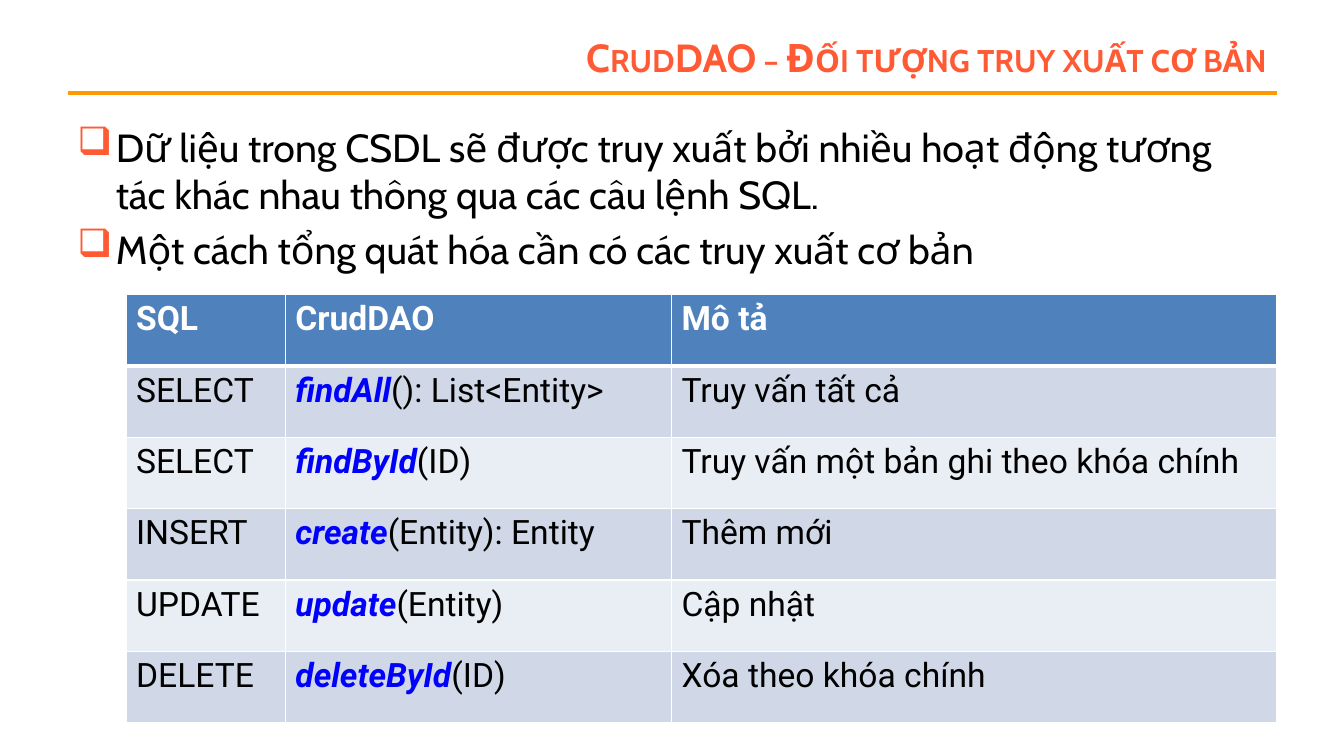
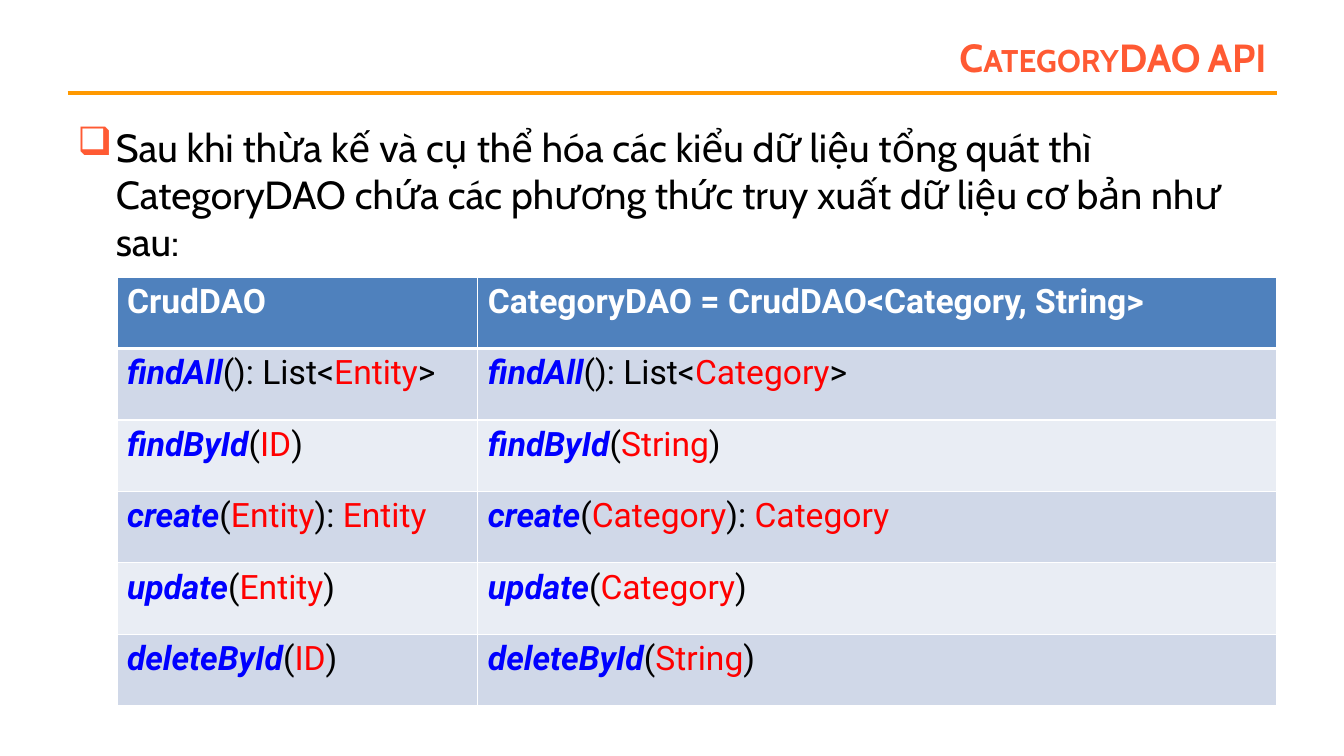
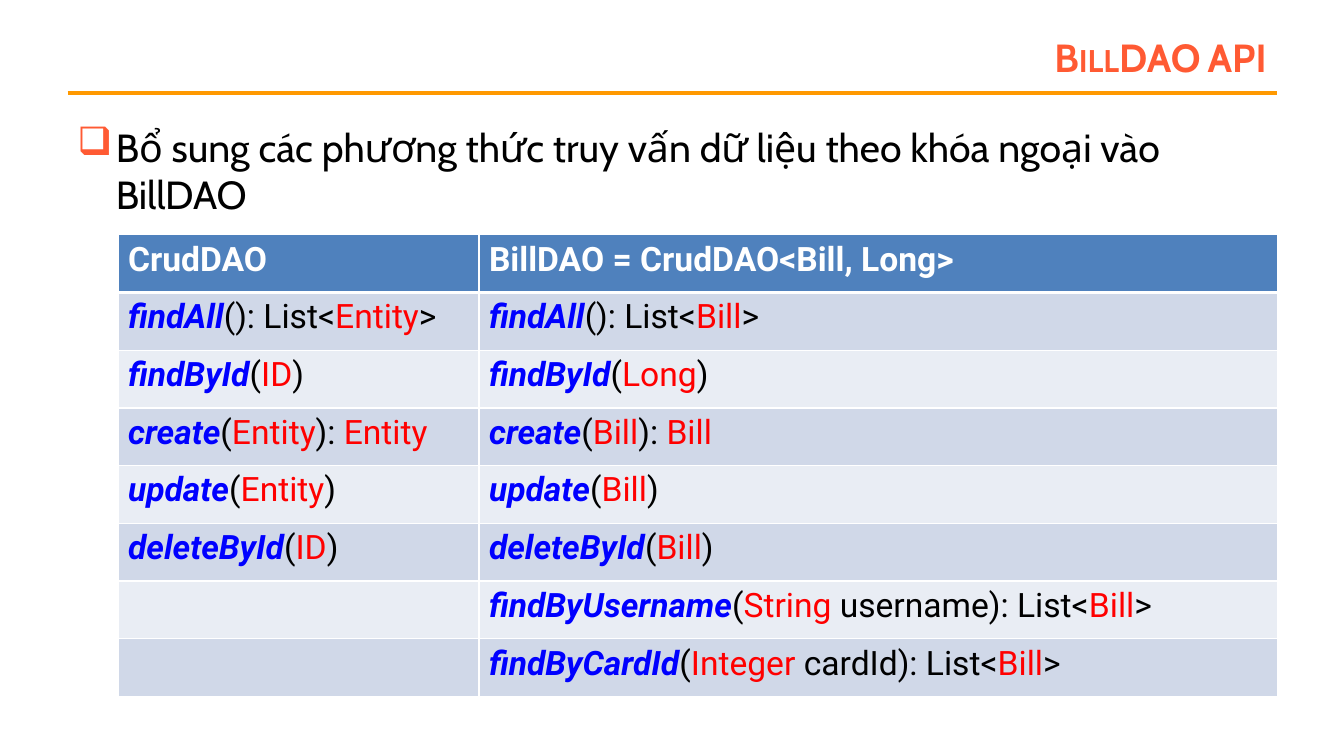
from dataclasses import dataclass
from itertools import zip_longest

from lxml import etree
from pptx import Presentation
from pptx import util as u
from pptx.dml.color import RGBColor
from pptx.enum import shapes, text
from pptx.oxml import ns


@dataclass(frozen=True)
class Theme:
    accent: str = "FF5A33"
    rule: str = "FF9900"
    ink: str = "000000"
    white: str = "FFFFFF"
    method: str = "0000FF"
    type_name: str = "FF0000"
    header: str = "4F81BD"
    bands: tuple[str, str] = ("D0D8E8", "E9EDF4")
    head_font: str = "Cabin"
    table_font: str = "Roboto"
    head_size: int = 28
    table_size: int = 24
    thin: int = 1
    thick: int = 3


@dataclass(frozen=True)
class TableSpec:
    left: float
    top: float
    height: float
    cols: tuple[float, ...]
    rows: list[tuple[str, ...]]


@dataclass(frozen=True)
class SlideSpec:
    title: str
    bullets: list[str]
    body_height: float
    table: TableSpec


T = Theme()


# Text
def add_text(p, content: str, *, font: str = T.table_font, size: int = T.table_size,
             color: str = T.ink, bold: bool = False, italic: bool = False,
             small_caps: bool = False) -> None:
    r = p.add_run()
    r.text = content
    f = r.font
    f.name, f.size, f.bold, f.italic = font, u.Pt(size), bold, italic
    f.color.rgb = RGBColor.from_string(color)
    if small_caps:
        r._r.get_or_add_rPr().set("cap", "small")


def add_signature(p, content: str) -> None:
    """Write 'method|plain|type|plain|type...', or plain text if there is no bar."""
    method, *parts = content.split("|")
    if not parts:
        add_text(p, content)
        return
    add_text(p, method, color=T.method, bold=True, italic=True)
    for i, part in enumerate(filter(None, parts)):
        add_text(p, part, color=T.type_name if i % 2 else T.ink)


def add_box(s, left: float, top: float, width: float, height: float):
    tf = s.shapes.add_textbox(u.Inches(left), u.Inches(top),
                              u.Inches(width), u.Inches(height)).text_frame
    tf.word_wrap = True
    return tf


def set_bullet(p) -> None:
    p.space_before = u.Pt(T.head_size * 0.2)
    pPr = p._p.get_or_add_pPr()
    indent = u.Inches(0.38)
    pPr.set("marL", str(indent))
    pPr.set("indent", str(-indent))
    clr = etree.SubElement(pPr, ns.qn("a:buClr"))
    etree.SubElement(clr, ns.qn("a:srgbClr"), val=T.accent)
    etree.SubElement(pPr, ns.qn("a:buChar"), char="❑")


# Shared title and rule
def add_frame(s, title: str) -> None:
    line = s.shapes.add_connector(shapes.MSO_CONNECTOR.STRAIGHT, u.Inches(0.67),
                                  u.Inches(0.92), u.Inches(12.67), u.Inches(0.92))
    line.line.color.rgb = RGBColor.from_string(T.rule)
    line.line.width = u.Pt(T.thick)
    etree.SubElement(line._element.spPr, ns.qn("a:effectLst"))
    tf = add_box(s, 2.44, 0.3, 10.22, 0.53)
    tf.vertical_anchor = text.MSO_ANCHOR.MIDDLE
    p = tf.paragraphs[0]
    p.alignment = text.PP_ALIGN.RIGHT
    add_text(p, title, font=T.head_font, size=T.head_size, color=T.accent,
             bold=True, small_caps=True)


def add_bullets(s, bullets: list[str], height: float) -> None:
    tf = add_box(s, 0.67, 1.17, 12, height)
    for i, bullet in enumerate(bullets):
        p = tf.add_paragraph() if i else tf.paragraphs[0]
        set_bullet(p)
        add_text(p, bullet, font=T.head_font, size=T.head_size)


# Tables
def style_cell(cell, row: int) -> None:
    tcPr = cell._tc.get_or_add_tcPr()
    thick_sides = {0: "B", 1: "T"}
    for side in "LRTB":
        width = T.thick if thick_sides.get(row) == side else T.thin
        ln = etree.SubElement(tcPr, ns.qn(f"a:ln{side}"), w=str(u.Pt(width)))
        fill = etree.SubElement(ln, ns.qn("a:solidFill"))
        etree.SubElement(fill, ns.qn("a:srgbClr"), val=T.white)
    cell.fill.solid()
    color = T.bands[(row - 1) % 2] if row else T.header
    cell.fill.fore_color.rgb = RGBColor.from_string(color)


def add_table(s, spec: TableSpec) -> None:
    table = s.shapes.add_table(
        len(spec.rows), len(spec.cols), u.Inches(spec.left), u.Inches(spec.top),
        u.Inches(sum(spec.cols)), u.Inches(spec.height)).table
    table.horz_banding = False
    for col, width in zip(table.columns, spec.cols):
        col.width = u.Inches(width)
    for i, row in enumerate(spec.rows):
        for j, content in enumerate(row):
            cell = table.cell(i, j)
            style_cell(cell, i)
            p = cell.text_frame.paragraphs[0]
            if i == 0:
                add_text(p, content, color=T.white, bold=True)
            elif content:
                add_signature(p, content)


# Content
def crud(entity: str, key: str, deleted: str = "") -> list[str]:
    return [
        f"findAll|(): List<|{entity}|>",
        f"findById|(|{key}|)",
        f"create|(|{entity}|): |{entity}",
        f"update|(|{entity}|)",
        f"deleteById|(|{deleted or key}|)",
    ]


def compare(header: str, methods: list[str]) -> list[tuple[str, ...]]:
    pairs = zip_longest(crud("Entity", "ID"), methods, fillvalue="")
    return [("CrudDAO", header), *pairs]


SLIDES = [
    SlideSpec(
        "CrudDAO – Đối tượng truy xuất cơ bản",
        ["Dữ liệu trong CSDL sẽ được truy xuất bởi nhiều hoạt động tương tác khác nhau "
         "thông qua các câu lệnh SQL.",
         "Một cách tổng quát hóa cần có các truy xuất cơ bản"],
        1.75,
        TableSpec(1.25, 2.92, 4.25, (1.58, 3.83, 6), [
            ("SQL", "CrudDAO", "Mô tả"),
            ("SELECT", "findAll|(): List<Entity>", "Truy vấn tất cả"),
            ("SELECT", "findById|(ID)", "Truy vấn một bản ghi theo khóa chính"),
            ("INSERT", "create|(Entity): Entity", "Thêm mới"),
            ("UPDATE", "update|(Entity)", "Cập nhật"),
            ("DELETE", "deleteById|(ID)", "Xóa theo khóa chính"),
        ])),
    SlideSpec(
        "CategoryDAO API",
        ["Sau khi thừa kế và cụ thể hóa các kiểu dữ liệu tổng quát thì CategoryDAO chứa "
         "các phương thức truy xuất dữ liệu cơ bản như sau:"],
        1.58,
        TableSpec(1.16, 2.75, 4.25, (3.58, 7.92), compare(
            "CategoryDAO = CrudDAO<Category, String>", crud("Category", "String")))),
    SlideSpec(
        "BillDAO API",
        ["Bổ sung các phương thức truy vấn dữ liệu theo khóa ngoại vào BillDAO"],
        5.75,
        TableSpec(1.17, 2.33, 4.58, (3.58, 7.92), compare(
            "BillDAO = CrudDAO<Bill, Long>",
            crud("Bill", "Long", deleted="Bill") + [
                "findByUsername|(|String |username): List<|Bill|>",
                "findByCardId|(|Integer |cardId): List<|Bill|>",
            ]))),
]


def main() -> None:
    prs = Presentation()
    prs.slide_width, prs.slide_height = u.Inches(13.33), u.Inches(7.5)
    for spec in SLIDES:
        s = prs.slides.add_slide(prs.slide_layouts[6])
        add_frame(s, spec.title)
        add_bullets(s, spec.bullets, spec.body_height)
        add_table(s, spec.table)
    prs.save("out.pptx")


if __name__ == "__main__":
    main()
